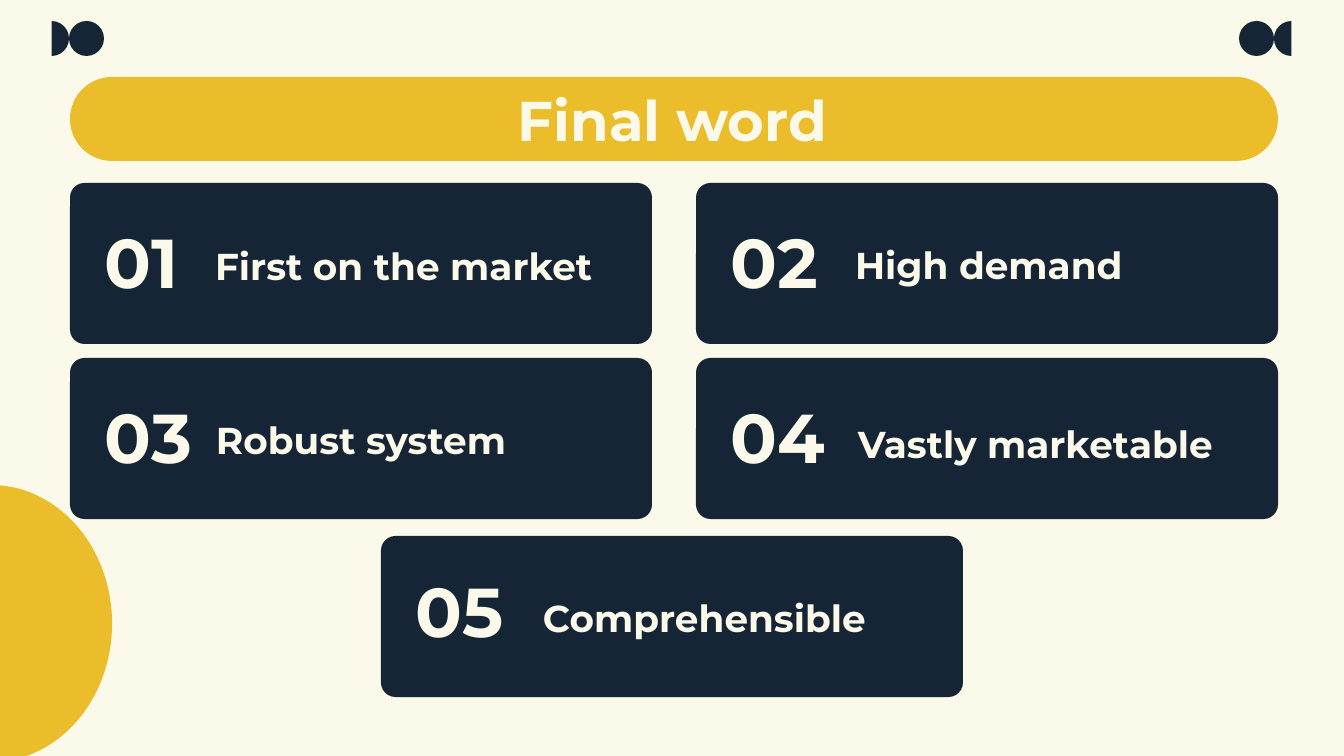
from pptx import Presentation
from pptx.dml.color import RGBColor
from pptx.enum.shapes import MSO_SHAPE as Shape
from pptx.enum.text import MSO_ANCHOR as Anchor, PP_ALIGN as Align
from pptx.util import Emu, Pt

CREAM = RGBColor(0xFB, 0xF9, 0xEA)
NAVY = RGBColor(0x16, 0x25, 0x35)
GOLD = RGBColor(0xEC, 0xBD, 0x2A)
FONT = "Montserrat"
EMU_PER_PX = 914400 / 134.4

CARD_WIDTH, CARD_HEIGHT = 582, 161
LEFT, RIGHT, CENTER = 70, 696, 381
CARDS = [
    (LEFT, 183, "01", 17, "First on the market", 132, 47),
    (RIGHT, 183, "02", 17, "High demand", 146, 46),
    (LEFT, 358, "03", 17, "Robust system", 133, 46),
    (RIGHT, 358, "04", 17, "Vastly marketable", 149, 50),
    (CENTER, 536, "05", 13, "Comprehensible", 149, 46),
]


def px(*lengths):
    """Turn pixel lengths into a list of EMU."""
    return [Emu(round(length * EMU_PER_PX)) for length in lengths]


def add_filled(slide, kind, box, color, adjustments=(), rotation=0):
    """Add a flat preset shape without an outline."""
    shape = slide.shapes.add_shape(kind, *px(*box))
    shape.shadow.inherit = False
    shape.fill.solid()
    shape.fill.fore_color.rgb = color
    shape.line.fill.background()
    shape.rotation = rotation
    for index, value in enumerate(adjustments):
        shape.adjustments[index] = value


def add_text(slide, box, text, size, anchor=Anchor.TOP, align=Align.LEFT, inset=13):
    """Add one line of bold cream text."""
    frame = slide.shapes.add_textbox(*px(*box)).text_frame
    frame.word_wrap = True
    frame.vertical_anchor = anchor
    (frame.margin_left, frame.margin_top,
     frame.margin_right, frame.margin_bottom) = px(*[inset] * 4)
    paragraph = frame.paragraphs[0]
    paragraph.text = text
    paragraph.alignment = align
    font = paragraph.font
    font.name, font.size, font.bold = FONT, Pt(size), True
    font.color.rgb = CREAM


def add_half_disc(slide, box, color, rotation=0):
    """Add the left half of a disc, or the right half when turned by 180."""
    add_filled(slide, Shape.PIE, box, color, (54, 162), rotation)


def add_corner_mark(slide, left, top, size, mirrored=False):
    """Add a half disc beside a full disc, half disc outermost."""
    half_left, disc_left = (left + size, left) if mirrored else (left, left + size)
    add_half_disc(slide, (half_left, top, size, size), NAVY, 0 if mirrored else 180)
    add_filled(slide, Shape.OVAL, (disc_left, top, size, size), NAVY)


def add_banner(slide, left, top, width, height, title):
    """Add the gold title bar with its centred heading."""
    add_filled(slide, Shape.ROUNDED_RECTANGLE, (left, top, width, height), GOLD, (0.5,))
    add_text(slide, (left + 36, top, width - 75, height), title, 30,
             Anchor.MIDDLE, Align.CENTER, 0)


def add_card(slide, left, top, number, number_top, label, label_left, label_top):
    """Add a numbered card, its texts offset from the card corner."""
    add_filled(slide, Shape.ROUNDED_RECTANGLE,
               (left, top, CARD_WIDTH, CARD_HEIGHT), NAVY, (0.09,))
    add_text(slide, (left + 22, top + number_top, 129, 122), number, 37, Anchor.MIDDLE)
    add_text(slide, (left + label_left, top + label_top, 417, 60), label, 20)


def main():
    """Build and save the slide."""
    presentation = Presentation()
    presentation.slide_width, presentation.slide_height = px(1344, 756)
    slide = presentation.slides.add_slide(presentation.slide_layouts[6])
    slide.background.fill.solid()
    slide.background.fill.fore_color.rgb = CREAM

    add_half_disc(slide, (-130, 485, 242, 277), GOLD, 180)
    add_corner_mark(slide, 34, 21, 35)
    add_corner_mark(slide, 1239, 21, 35, mirrored=True)
    add_banner(slide, LEFT, 77, 1208, 84, "Final word")
    for card in CARDS:
        add_card(slide, *card)

    presentation.save("out.pptx")


if __name__ == "__main__":
    main()
